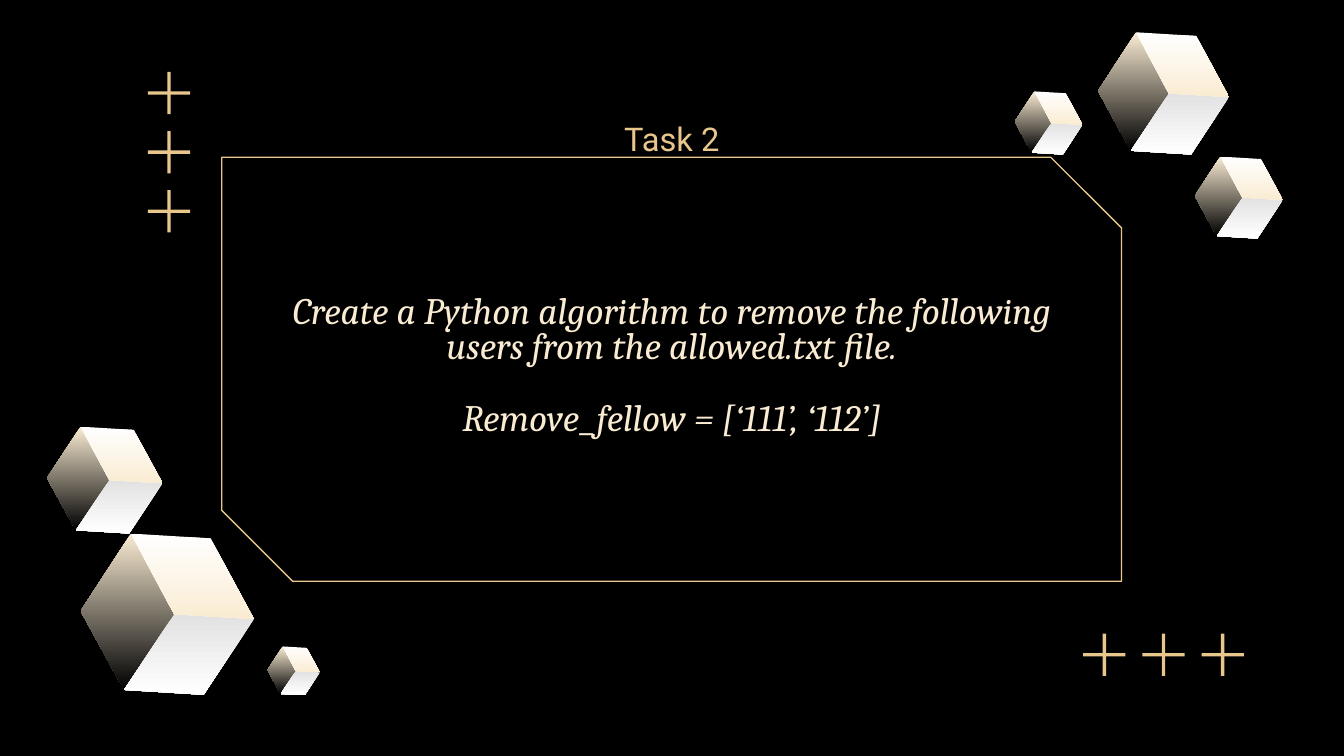
from pptx import Presentation
from pptx.dml.color import RGBColor
from pptx.enum.shapes import MSO_SHAPE
from pptx.enum.text import MSO_ANCHOR, PP_ALIGN
from pptx.util import Pt

PX = 4572  # EMU per px, 200 px to the inch
RECT = MSO_SHAPE.RECTANGLE
SNIPPED = MSO_SHAPE.SNIP_2_DIAG_RECTANGLE
MIDDLE = MSO_ANCHOR.MIDDLE
CENTER = PP_ALIGN.CENTER

BLACK = RGBColor(0x00, 0x00, 0x00)
WHITE = RGBColor(0xFF, 0xFF, 0xFF)
GRAY = RGBColor(0xE2, 0xE2, 0xE2)
CREAM = RGBColor(0xFA, 0xEC, 0xD3)
GOLD = RGBColor(0xE9, 0xC7, 0x8C)

# Cube corners in percent of the cube's box
TOP, LEFT, BOTTOM_LEFT, CENTRE = (29, 0), (0, 48), (25, 97), (54, 50)
TOP_RIGHT, RIGHT, BOTTOM = (75, 3), (100, 53), (71, 100)
FACES = [
    ((TOP, LEFT, BOTTOM_LEFT, CENTRE), CREAM, BLACK),
    ((CENTRE, RIGHT, BOTTOM, BOTTOM_LEFT), GRAY, WHITE),
    ((TOP, TOP_RIGHT, RIGHT, CENTRE), WHITE, CREAM),
]
CUBES = [
    (120, 794, 258, 240), (70, 635, 172, 159), (398, 962, 78, 73),
    (1634, 48, 195, 182), (1778, 233, 131, 122), (1510, 136, 101, 94),
]
PLUS_SIZE, PLUS_BAR, PLUS_STEP = 63, 5, 88


def emu(*lengths):
    return [round(n * PX) for n in lengths]


def add_frame(slide, box):
    sp = slide.shapes.add_shape(SNIPPED, *emu(*box))
    sp.shadow.inherit = False
    sp.adjustments[0] = 0
    sp.adjustments[1] = 0.167
    sp.fill.background()
    sp.line.color.rgb = GOLD
    sp.line.width = Pt(0.75)


def add_text(slide, box, lines, font, size, color, italic=False,
             spacing=1.0, gap=0):
    """Centred paragraphs, with gap points between them."""
    tf = slide.shapes.add_textbox(*emu(*box)).text_frame
    tf.word_wrap = True
    tf.vertical_anchor = MIDDLE
    tf.margin_left = tf.margin_right = 20 * PX
    tf.margin_top = tf.margin_bottom = 20 * PX
    tf.text = "\n".join(lines)
    for i, p in enumerate(tf.paragraphs):
        p.alignment = CENTER
        p.line_spacing = spacing
        if i:
            p.space_before = Pt(gap)
        for r in p.runs:
            r.font.name = font
            r.font.size = Pt(size)
            r.font.italic = italic
            r.font.color.rgb = color


def add_plus(slide, x, y):
    inset = (PLUS_SIZE - PLUS_BAR) // 2
    for bar in ((x, y + inset, PLUS_SIZE, PLUS_BAR),
                (x + inset, y, PLUS_BAR, PLUS_SIZE)):
        sp = slide.shapes.add_shape(RECT, *emu(*bar))
        sp.shadow.inherit = False
        sp.fill.solid()
        sp.fill.fore_color.rgb = GOLD
        sp.line.fill.background()


def add_plus_row(slide, x, y, dx, dy):
    for i in range(3):
        add_plus(slide, x + i * dx, y + i * dy)


def add_cube(slide, box):
    x, y, w, h = box
    for corners, start, end in FACES:
        points = [emu(x + w * u / 100, y + h * v / 100) for u, v in corners]
        builder = slide.shapes.build_freeform(*points[0])
        builder.add_line_segments(points[1:], close=True)
        sp = builder.convert_to_shape()
        sp.shadow.inherit = False
        sp.line.fill.background()
        sp.fill.gradient()
        sp.fill.gradient_angle = 270
        for stop, color, position in zip(sp.fill.gradient_stops,
                                         (start, end), (0, 1)):
            stop.color.rgb = color
            stop.position = position


def main():
    prs = Presentation()
    prs.slide_width, prs.slide_height = emu(2000, 1125)
    slide = prs.slides.add_slide(prs.slide_layouts[6])
    slide.background.fill.solid()
    slide.background.fill.fore_color.rgb = BLACK

    add_frame(slide, (330, 234, 1339, 631))
    add_text(slide, (356, 288, 1288, 516),
             ["Create a Python algorithm to remove the following users "
              "from the allowed.txt file.",
              "Remove_fellow = [‘111’, ‘112’]"],
             "Cambria", 20, CREAM, italic=True, spacing=0.8, gap=19)
    add_text(slide, (356, 154, 1288, 104), ["Task 2"], "Roboto", 17.5, GOLD)
    add_plus_row(slide, 220, 107, 0, PLUS_STEP)
    add_plus_row(slide, 1612, 943, PLUS_STEP, 0)
    for box in CUBES:
        add_cube(slide, box)
    prs.save("out.pptx")


if __name__ == "__main__":
    main()
